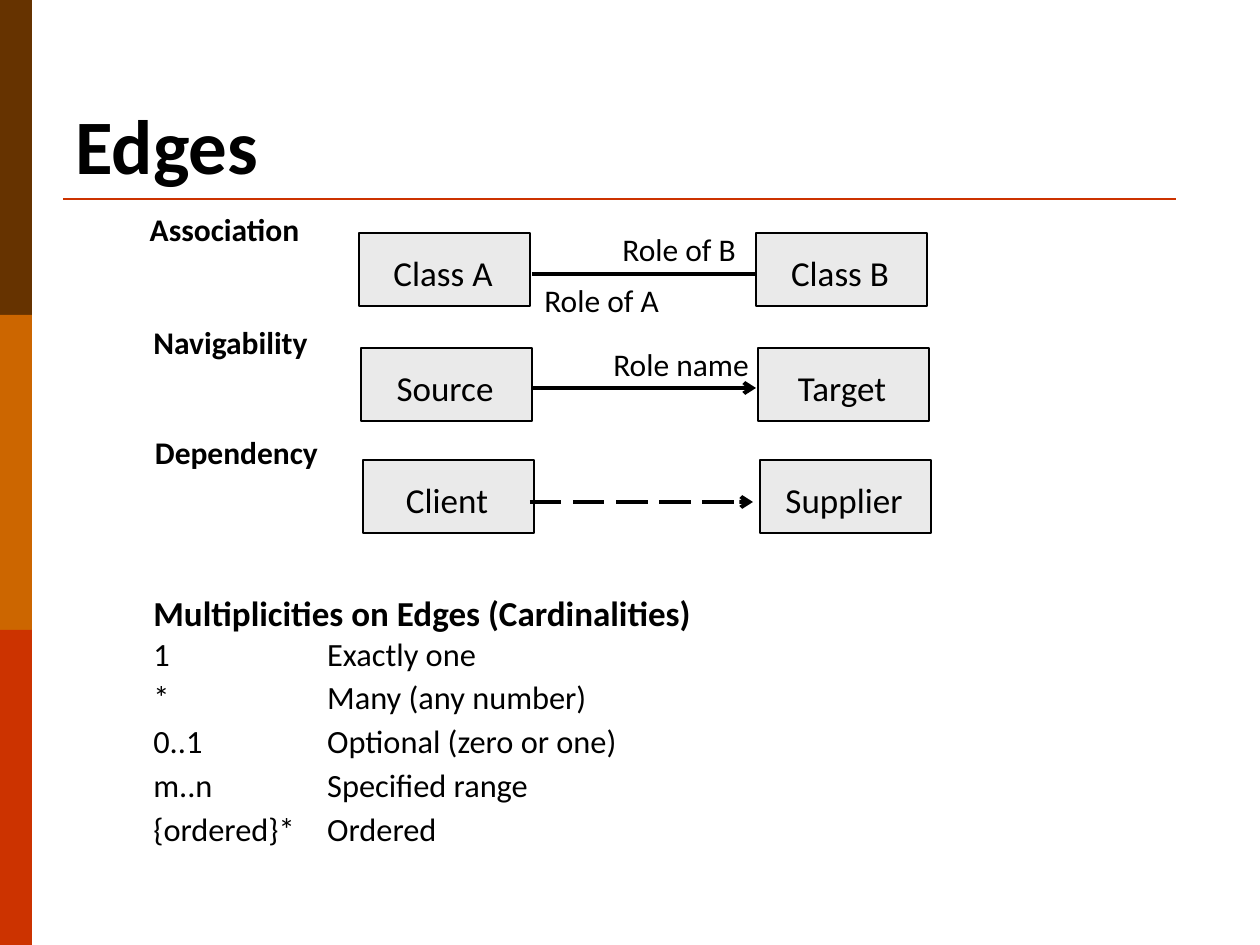
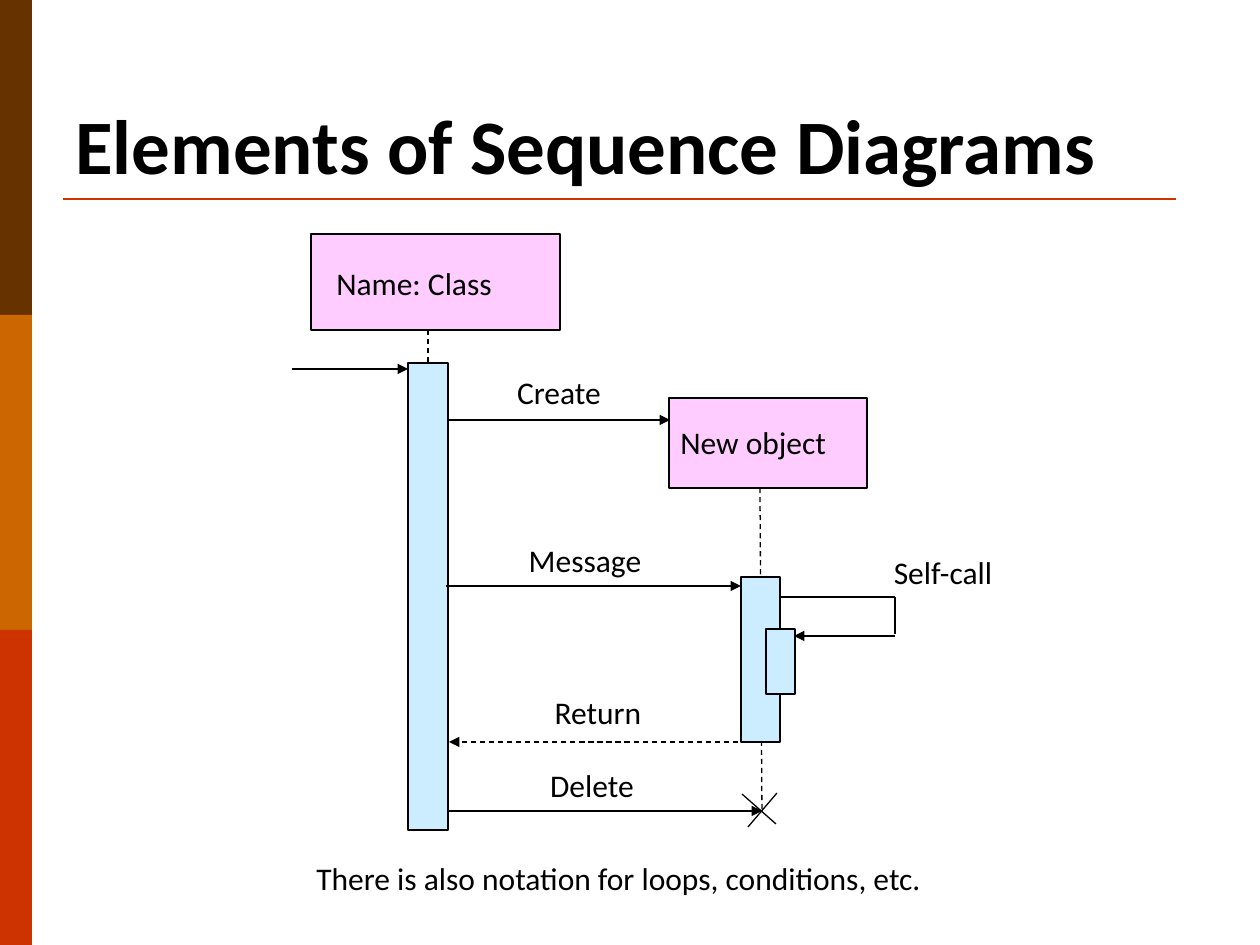
"""Build two slides on UML notation: class diagram edges and sequence diagrams."""
import pptx
import pptx.dml.color
import pptx.enum.dml
import pptx.enum.shapes
import pptx.enum.text
import pptx.util
from pptx.oxml.ns import qn
from lxml import etree

EMU_PER_PX = 914400 / 126
SLIDE_SIZE = (1260, 945)
FONT = "Calibri"
INK, RULE, PAPER = "000000", "CC3300", "FFFFFF"
BANDS = ["663300", "CC6600", "CC3300"]
CLASS_FILL, OBJECT_FILL, ACTIVATION_FILL = "EAEAEA", "FFCCFF", "CCECFF"
LEFT, CENTER = pptx.enum.text.PP_ALIGN.LEFT, pptx.enum.text.PP_ALIGN.CENTER
TOP, BOTTOM = pptx.enum.text.MSO_ANCHOR.TOP, pptx.enum.text.MSO_ANCHOR.BOTTOM
DASH, LONG_DASH = pptx.enum.dml.MSO_LINE.DASH, pptx.enum.dml.MSO_LINE.LONG_DASH

CLASS_SIZE, CLASS_PITCH, EDGE_LENGTH = (171, 73), 397, 223
EDGES = [
    {"kind": ("Association", 128, 204), "classes": ("Class A", "Class B"),
     "corner": (359, 233), "start": (532, 274), "dash": None, "head": None},
    {"kind": ("Navigability", 134, 317), "classes": ("Source", "Target"),
     "corner": (361, 348), "start": (533, 388), "dash": None, "head": "arrow"},
    {"kind": ("Dependency", 140, 427), "classes": ("Client", "Supplier"),
     "corner": (363, 460), "start": (530, 502), "dash": LONG_DASH, "head": "arrow"},
]
ROLES = [("Role of A", 532, 275), ("Role of B", 610, 224), ("Role name", 601, 339)]
MULTIPLICITIES_TITLE = "Multiplicities on Edges (Cardinalities)"
MULTIPLICITIES = [
    "1\t\t\tExactly one",
    "*\t\t\tMany (any number)",
    "0..1\t\tOptional (zero or one)",
    "m..n\t\tSpecified range",
    "{ordered}*\tOrdered",
]

OBJECTS = [(311, 234, 249, 96), (669, 398, 198, 90)]
CALLER_ACTIVATION = (408, 363, 40, 467)
CALLEE_ACTIVATIONS = [(741, 577, 39, 165), (766, 629, 29, 65)]
LIFELINES = [(428, 330, 428, 363), (760, 488, 762, 811)]
CALLS = [(292, 369, 408, 369), (449, 420, 670, 420), (446, 586, 741, 586),
         (449, 811, 762, 811), (895, 636, 794, 636)]
RETURN_CALL = (738, 742, 449, 742)
SELF_CALL_PATH = [(781, 597, 895, 597), (895, 597, 895, 634)]
DELETE_CROSS = [(742, 794, 776, 824), (777, 793, 748, 827)]
OBJECT_NAMES = [("Name: Class", 324, 258), ("New object", 668, 417)]
CALL_NAMES = [("Create", 446, 367), ("Message", 472, 535), ("Return", 485, 687),
              ("Delete", 479, 760), ("Self-call", 830, 547)]
CLOSING = "There is also notation for loops, conditions, etc."


def px(*lengths):
    return [pptx.util.Emu(round(length * EMU_PER_PX)) for length in lengths]


def color(hex_text):
    return pptx.dml.color.RGBColor.from_string(hex_text)


def add_box(slide, frame, fill, outlined=True):
    box = slide.shapes.add_shape(pptx.enum.shapes.MSO_SHAPE.RECTANGLE, *px(*frame))
    box.shadow.inherit = False
    box.fill.solid()
    box.fill.fore_color.rgb = color(fill)
    if outlined:
        box.line.color.rgb = color(INK)
        box.line.width = pptx.util.Pt(0.75)
    else:
        box.line.fill.background()


def add_line(slide, ends, width=0.75, ink=INK, dash=None, head=None):
    straight = pptx.enum.shapes.MSO_CONNECTOR.STRAIGHT
    link = slide.shapes.add_connector(straight, *px(*ends))
    link.line.color.rgb = color(ink)
    link.line.width = pptx.util.Pt(width)
    if dash:
        link.line.dash_style = dash
    properties = link._element.spPr
    if head:
        etree.SubElement(properties.find(qn("a:ln")), qn("a:tailEnd"), type=head)
    etree.SubElement(properties, qn("a:effectLst"))


def add_text(slide, frame, lines, size=18, bold=False, align=LEFT, anchor=TOP):
    text = slide.shapes.add_textbox(*px(*frame)).text_frame
    text.word_wrap = True
    text.vertical_anchor = anchor
    for index, line in enumerate(lines):
        paragraph = text.add_paragraph() if index else text.paragraphs[0]
        paragraph.alignment = align
        run = paragraph.add_run()
        run.text = line
        run.font.name = FONT
        run.font.size = pptx.util.Pt(size)
        run.font.bold = bold
        run.font.color.rgb = color(INK)
    return text


def set_tabbed_list(text):
    hanging = pptx.util.Inches(0.38)
    for paragraph in text.paragraphs:
        paragraph.line_spacing = 0.9
        paragraph.space_before = pptx.util.Pt(5)
        properties = paragraph._p.get_or_add_pPr()
        properties.set("marL", str(hanging))
        properties.set("indent", str(-hanging))
        stops = etree.SubElement(properties, qn("a:tabLst"))
        for inch in range(8):
            etree.SubElement(stops, qn("a:tab"), pos=str(pptx.util.Inches(inch)), algn="l")


def add_page(deck, title):
    slide = deck.slides.add_slide(deck.slide_layouts[6])
    slide.background.fill.solid()
    slide.background.fill.fore_color.rgb = color(PAPER)
    band_height = SLIDE_SIZE[1] // len(BANDS)
    for index, fill in enumerate(BANDS):
        add_box(slide, (0, index * band_height, 32, band_height), fill, outlined=False)
    add_line(slide, (63, 199, 1176, 199), 1.5, RULE)
    add_text(slide, (63, 38, 1134, 158), [title], 44, True, anchor=BOTTOM)
    return slide


def build_edges(deck):
    slide = add_page(deck, "Edges")
    for edge in EDGES:
        left, top = edge["corner"]
        for column, name in enumerate(edge["classes"]):
            x = left + column * CLASS_PITCH
            add_box(slide, (x, top, *CLASS_SIZE), CLASS_FILL)
            add_text(slide, (x, top + 12, 168, 55), [name], 20, align=CENTER)
        x, y = edge["start"]
        add_line(slide, (x, y, x + EDGE_LENGTH, y), 2.25,
                 dash=edge["dash"], head=edge["head"])
        kind, x, y = edge["kind"]
        add_text(slide, (x, y, 193, 50), [kind], bold=True, align=CENTER)
    for role, x, y in ROLES:
        add_text(slide, (x, y, 163, 50), [role])
    add_text(slide, (141, 591, 886, 49), [MULTIPLICITIES_TITLE], 20, True, anchor=BOTTOM)
    set_tabbed_list(add_text(slide, (141, 632, 946, 247), MULTIPLICITIES, 18.5))


def build_sequence(deck):
    slide = add_page(deck, "Elements of Sequence Diagrams")
    for frame in OBJECTS:
        add_box(slide, frame, OBJECT_FILL)
    add_box(slide, CALLER_ACTIVATION, ACTIVATION_FILL)
    for ends in LIFELINES:
        add_line(slide, ends, dash=DASH)
    for ends in CALLS:
        add_line(slide, ends, head="triangle")
    add_line(slide, RETURN_CALL, dash=DASH, head="triangle")
    for ends in SELF_CALL_PATH + DELETE_CROSS:
        add_line(slide, ends)
    for frame in CALLEE_ACTIVATIONS:
        add_box(slide, frame, ACTIVATION_FILL)
    for names, align in ((OBJECT_NAMES, LEFT), (CALL_NAMES, CENTER)):
        for name, x, y in names:
            add_text(slide, (x, y, 226, 50), [name], align=align)
    add_text(slide, (304, 853, 717, 50), [CLOSING])


def main():
    deck = pptx.Presentation()
    deck.slide_width, deck.slide_height = px(*SLIDE_SIZE)
    build_edges(deck)
    build_sequence(deck)
    deck.save("out.pptx")


if __name__ == "__main__":
    main()
